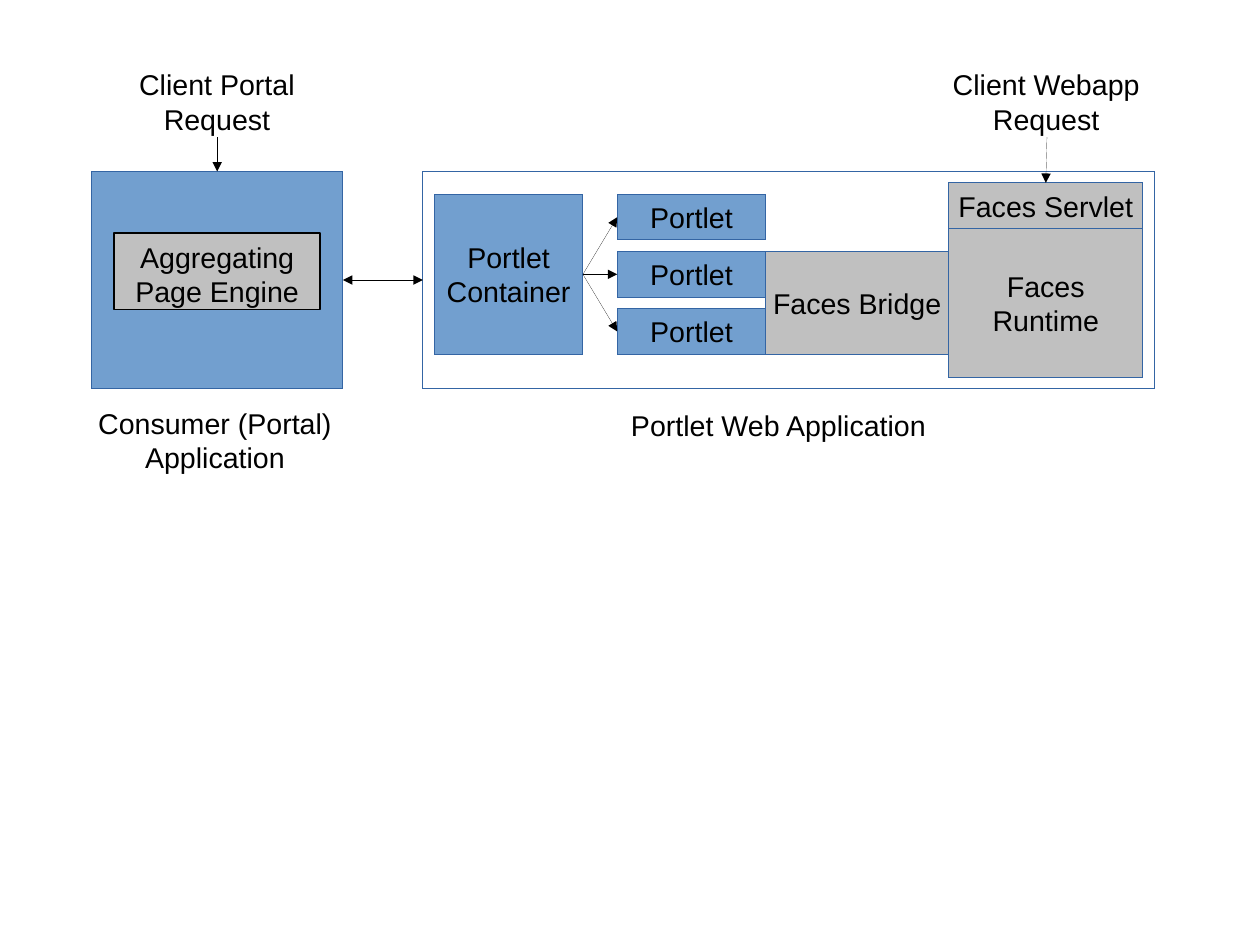
import pptx
import pptx.util
import pptx.dml.color
import pptx.enum.shapes
import pptx.enum.text
import lxml.etree

Pt = pptx.util.Pt
ANCHOR = pptx.enum.text.MSO_ANCHOR
FIT = pptx.enum.text.MSO_AUTO_SIZE

SLIDE_SIZE = (793.7, 595.28)
BLUE, GREY, EDGE, BLACK = "729FCF", "C0C0C0", "3465A4", "000000"
HAIRLINE = 0.01

CONSUMER = (57.6, 108, 158.4, 136.8)
WEB_APP = (266.4, 108, 460.8, 136.8)
ENGINE = (72, 146.88, 129.6, 48.24)
CONTAINER = (273.6, 122.4, 93.6, 100.8)
BRIDGE = (482.4, 158.4, 115.2, 64.8)
SERVLET = (597.6, 115.2, 122.4, 28.8)
RUNTIME = (597.6, 144, 122.4, 93.6)
PORTLET_STEP = 36
PORTLETS = [(388.8, 122.4 + PORTLET_STEP * row, 93.6, 28.8) for row in range(3)]

BLOCKS = [
    ("", CONSUMER, BLUE),
    ("", WEB_APP, None),
    ("Portlet\nContainer", CONTAINER, BLUE),
    *[("Portlet", portlet, BLUE) for portlet in PORTLETS],
    ("Faces Bridge", BRIDGE, GREY),
    ("Faces\nRuntime", RUNTIME, GREY),
    ("Faces Servlet", SERVLET, GREY),
]
LABELS = [
    ("Client Portal\nRequest", (80.28, 38.88, 112.8, 47.52)),
    ("Client Webapp\nRequest", (592.4, 38.88, 133.2, 47.52)),
    ("Consumer (Portal)\nApplication", (54.36, 252, 162, 47.52)),
    ("Portlet Web Application", (389.9, 253.44, 200.88, 27.36)),
]


def color(value):
    return pptx.dml.color.RGBColor.from_string(value)


def right_middle(area):
    left, top, width, height = area
    return left + width, top + height / 2


def left_middle(area):
    left, top, width, height = area
    return left, top + height / 2


def write(shape, text, **frame_format):
    frame = shape.text_frame
    frame.text = text
    settings = {
        "word_wrap": False,
        "margin_left": Pt(7.2),
        "margin_right": Pt(7.2),
        "margin_top": Pt(3.6),
        "margin_bottom": Pt(3.6),
        **frame_format,
    }
    for name, value in settings.items():
        setattr(frame, name, value)
    for para in frame.paragraphs:
        para.alignment = pptx.enum.text.PP_ALIGN.CENTER
        for name, value in {"name": "Arial", "size": Pt(18)}.items():
            setattr(para.font, name, value)
        para.font.color.rgb = color(BLACK)


def add_block(page, area, fill, edge=EDGE, weight=HAIRLINE):
    box = page.shapes.add_shape(
        pptx.enum.shapes.MSO_SHAPE.RECTANGLE, *map(Pt, area))
    box.shadow.inherit = False
    if fill:
        box.fill.solid()
        box.fill.fore_color.rgb = color(fill)
    else:
        box.fill.background()
    box.line.color.rgb = color(edge)
    box.line.width = Pt(weight)
    return box


def add_arrow(page, start, end, ends=("tailEnd",)):
    arrow = page.shapes.add_connector(
        pptx.enum.shapes.MSO_CONNECTOR.STRAIGHT, *map(Pt, start + end))
    arrow.line.color.rgb = color(BLACK)
    arrow.line.width = Pt(HAIRLINE)
    properties = arrow._element.spPr
    namespace = "{%s}" % properties.nsmap["a"]
    outline = properties.find(namespace + "ln")
    for name in ends:
        lxml.etree.SubElement(outline, namespace + name, type="triangle")
    lxml.etree.SubElement(properties, namespace + "effectLst")


def main():
    deck = pptx.Presentation()
    deck.slide_width, deck.slide_height = map(Pt, SLIDE_SIZE)
    page = deck.slides.add_slide(deck.slide_layouts.get_by_name("Blank"))

    for text, area, fill in BLOCKS:
        box = add_block(page, area, fill)
        if text:
            write(box, text, vertical_anchor=ANCHOR.MIDDLE)

    engine = add_block(page, ENGINE, GREY, BLACK, 1)
    write(engine, "Aggregating Page Engine", word_wrap=True,
          vertical_anchor=ANCHOR.TOP, auto_size=FIT.SHAPE_TO_FIT_TEXT,
          margin_left=Pt(7.92), margin_right=Pt(7.92),
          margin_top=Pt(4.32), margin_bottom=Pt(4.32))

    for text, area in LABELS:
        label = page.shapes.add_textbox(*map(Pt, area))
        write(label, text, auto_size=FIT.SHAPE_TO_FIT_TEXT)

    for portlet in PORTLETS:
        add_arrow(page, right_middle(CONTAINER), left_middle(portlet))
    add_arrow(page, (136.8, 86.4), (136.8, CONSUMER[1]))
    add_arrow(page, (659.52, 86.4), (658.8, SERVLET[1]))
    add_arrow(page, right_middle(CONSUMER), left_middle(WEB_APP),
              ("headEnd", "tailEnd"))

    deck.save("out.pptx")


if __name__ == "__main__":
    main()
